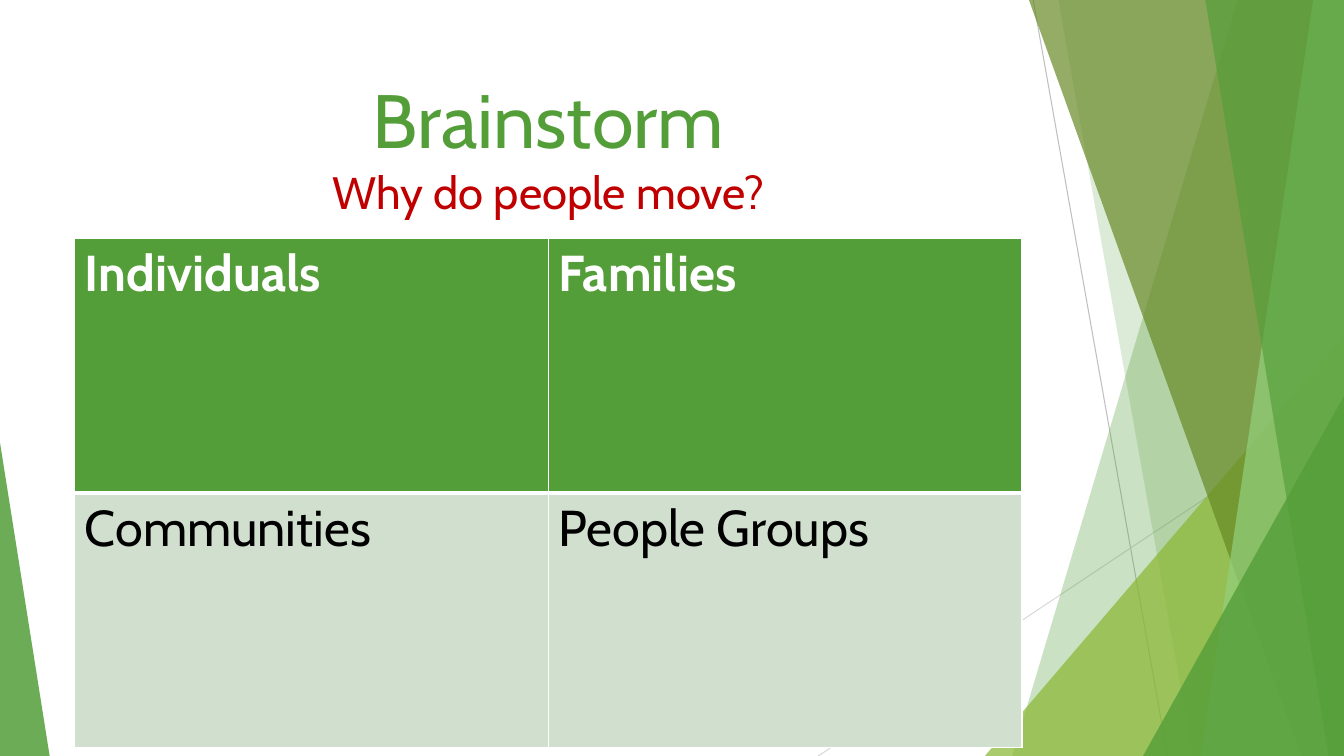
import dataclasses

import pptx
import pptx.dml.color
import pptx.enum.shapes
import pptx.enum.text
import pptx.oxml.ns
import pptx.util
from lxml import etree

Pt = pptx.util.Pt
RGBColor = pptx.dml.color.RGBColor
qn = pptx.oxml.ns.qn


@dataclasses.dataclass(frozen=True)
class Theme:
    font: str = "Cabin"
    green: str = "549E39"
    lime: str = "8AB833"
    olive: str = "678A26"
    mint: str = "93D07D"
    pale: str = "D1DFCE"
    red: str = "C00000"
    white: str = "FFFFFF"
    black: str = "000000"
    grey: str = "BFBFBF"
    light_grey: str = "D9D9D9"
    title_size: float = 54
    question_size: float = 32.4
    table_size: float = 36


@dataclasses.dataclass(frozen=True)
class Box:
    left: float
    top: float
    width: float
    height: float


THEME = Theme()
SLIDE_BOX = Box(0, 0, 960, 540)
TITLE_BOX = Box(53.5, 48.5, 676.5, 103.5)
TABLE_BOX = Box(53.5, 170, 676.5, 364)


def color(code):
    return RGBColor.from_string(code)


def paint(shape, code, opacity):
    shape.shadow.inherit = False
    shape.fill.solid()
    shape.fill.fore_color.rgb = color(code)
    shape.line.fill.background()
    fill_color = shape._element.spPr.find(".//" + qn("a:srgbClr"))
    etree.SubElement(fill_color, qn("a:alpha"), val=str(opacity * 1000))


def add_thin_line(slide, start, end, code):
    connector = slide.shapes.add_connector(
        pptx.enum.shapes.MSO_CONNECTOR.STRAIGHT, *map(Pt, start + end))
    connector.line.color.rgb = color(code)
    connector.line.width = Pt(0.75)
    etree.SubElement(connector._element.spPr, qn("a:effectLst"))


def add_band(slide, box, top_left, bottom_left, code, opacity):
    right, bottom = box.left + box.width, box.top + box.height
    corners = [(box.left + top_left, box.top), (right, box.top),
               (right, bottom), (box.left + bottom_left, bottom)]
    points = [(Pt(x), Pt(y)) for x, y in corners]
    builder = slide.shapes.build_freeform(*points[0])
    builder.add_line_segments(points[1:], close=True)
    paint(builder.convert_to_shape(), code, opacity)


def add_corner(slide, box, width, height, apex, code, opacity):
    left = box.left + apex * (box.width - width)
    top = box.top + box.height - height
    triangle = slide.shapes.add_shape(
        pptx.enum.shapes.MSO_SHAPE.ISOSCELES_TRIANGLE,
        Pt(left), Pt(top), Pt(width), Pt(height))
    triangle.adjustments[0] = apex
    paint(triangle, code, opacity)


def add_backdrop(slide, box):
    right, bottom = box.left + box.width, box.top + box.height
    add_thin_line(slide, (box.left + 738, box.top), (box.left + 834, bottom), THEME.grey)
    add_thin_line(slide, (right, box.top + 290), (box.left + 584.5, bottom), THEME.light_grey)
    add_band(slide, box, 884, 723, THEME.green, 30)
    add_band(slide, box, 756, 852, THEME.green, 20)
    add_corner(slide, box, 256.5, 300, 1, THEME.lime, 72)
    add_band(slide, box, 735, 929.5, THEME.olive, 70)
    add_band(slide, box, 938, 858, THEME.mint, 70)
    add_band(slide, box, 861, 949, THEME.green, 65)
    add_corner(slide, box, 143.5, 257, 1, THEME.green, 80)
    add_corner(slide, box, 35.5, 224, 0, THEME.green, 85)


def add_title(slide, box):
    title = slide.shapes.title
    title.left, title.top = Pt(box.left), Pt(box.top)
    title.width, title.height = Pt(box.width), Pt(box.height)
    frame = title.text_frame
    frame.word_wrap = True
    frame.auto_size = pptx.enum.text.MSO_AUTO_SIZE.NONE
    frame.vertical_anchor = pptx.enum.text.MSO_ANCHOR.TOP
    paragraph = frame.paragraphs[0]
    paragraph.alignment = pptx.enum.text.PP_ALIGN.CENTER
    paragraph.font.name = THEME.font
    heading = paragraph.add_run()
    heading.text = "Brainstorm"
    heading.font.size = Pt(THEME.title_size)
    heading.font.color.rgb = color(THEME.green)
    paragraph.add_line_break()
    question = paragraph.add_run()
    question.text = "Why do people move?"
    question.font.size = Pt(THEME.question_size)
    question.font.color.rgb = color(THEME.red)


def add_borders(cell, bottom_width):
    properties = cell._tc.get_or_add_tcPr()
    for side, width in (("L", 1), ("R", 1), ("T", 1), ("B", bottom_width)):
        border = etree.SubElement(properties, qn("a:ln" + side), w=str(Pt(width)))
        fill = etree.SubElement(border, qn("a:solidFill"))
        etree.SubElement(fill, qn("a:srgbClr"), val=THEME.white)


def add_group_table(slide, box):
    rows = [
        (("Individuals", "Families"), THEME.green, THEME.white, True, 3),
        (("Communities", "People Groups"), THEME.pale, THEME.black, False, 1),
    ]
    table = slide.shapes.add_table(
        len(rows), 2, Pt(box.left), Pt(box.top), Pt(box.width), Pt(box.height)).table
    table.horz_banding = False
    for row_index, (labels, fill, ink, bold, bottom_width) in enumerate(rows):
        for column_index, label in enumerate(labels):
            cell = table.cell(row_index, column_index)
            add_borders(cell, bottom_width)
            cell.fill.solid()
            cell.fill.fore_color.rgb = color(fill)
            cell.text = label
            font = cell.text_frame.paragraphs[0].font
            font.name = THEME.font
            font.size = Pt(THEME.table_size)
            font.bold = bold
            font.color.rgb = color(ink)


def main():
    presentation = pptx.Presentation()
    presentation.slide_width = Pt(SLIDE_BOX.width)
    presentation.slide_height = Pt(SLIDE_BOX.height)
    slide = presentation.slides.add_slide(presentation.slide_layouts[5])
    add_backdrop(slide, SLIDE_BOX)
    add_title(slide, TITLE_BOX)
    add_group_table(slide, TABLE_BOX)
    presentation.save("out.pptx")


if __name__ == "__main__":
    main()
